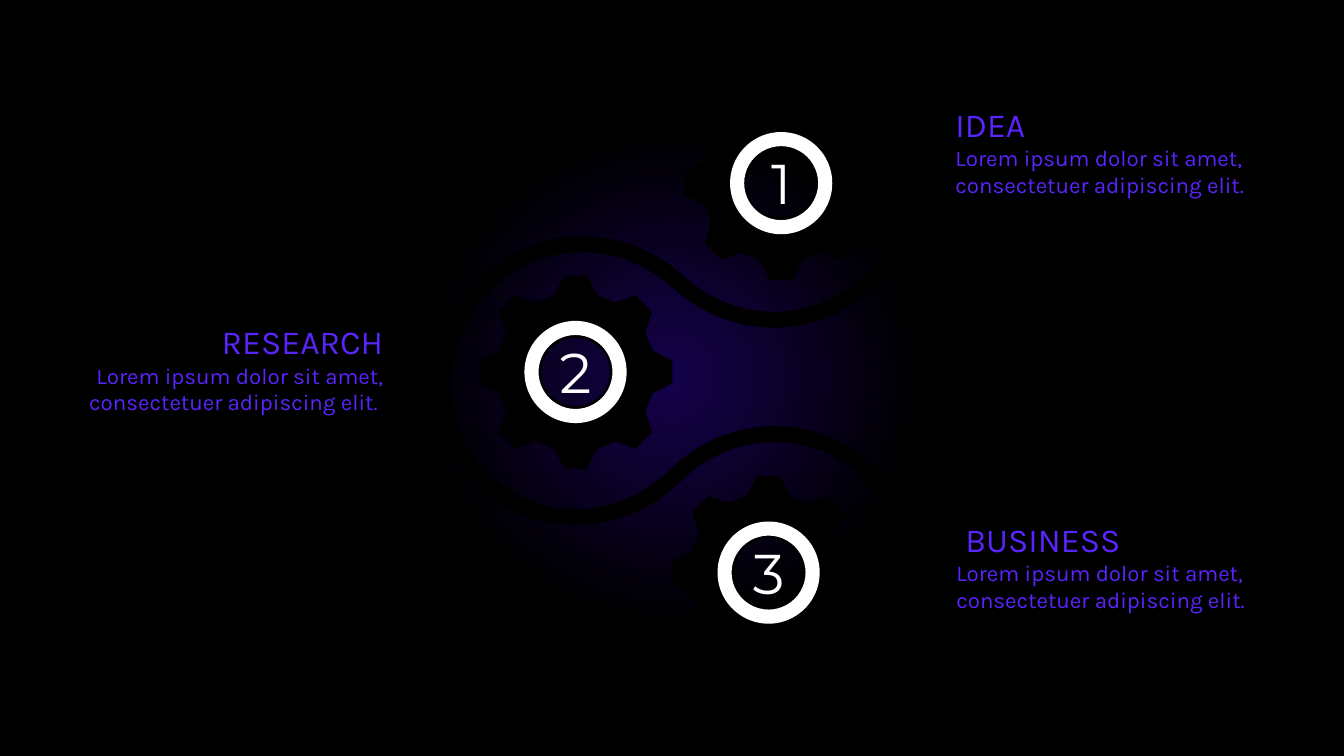
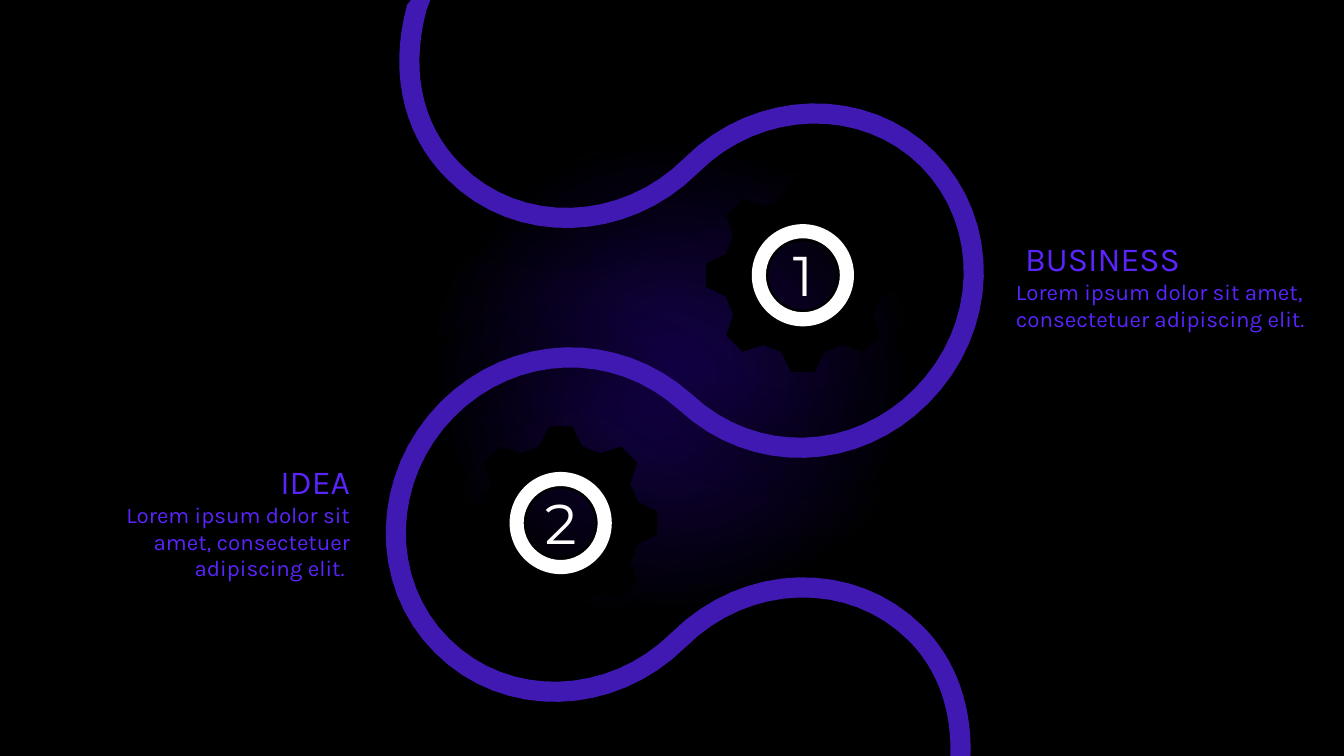
from dataclasses import dataclass
from math import cos, hypot, radians, sin

from pptx import Presentation
from pptx import util as u
from pptx.dml.color import RGBColor
from pptx.enum import shapes, text
from pptx.oxml import parse_xml
from pptx.oxml.ns import nsdecls, qn

Point = tuple[float, float]

COLORS = {
    "glow": "14014B",
    "black": "000000",
    "ribbon": "4019B3",
    "caption": "5A24FD",
    "white": "FFFFFF",
}
CAPTION_FONT = "Karla"
NUMBER_FONT = "Montserrat"
SLIDE_WIDTH, SLIDE_HEIGHT = 960, 540
BODY = "Lorem ipsum dolor sit amet, consectetuer adipiscing elit."
RING_SIZE = 73
CAPTION_HEIGHT = 97.2
TEETH = 8
TOOTH = [(-15.4, -55), (-8.2, -69.1), (8.2, -69.1), (15.4, -55)]
HOLE_RADIUS = 24.5
HOLE_STEPS = 48
CURVE_STEPS = 16


@dataclass(frozen=True)
class Step:
    number: str
    x: float
    y: float


@dataclass(frozen=True)
class Caption:
    heading: str
    left: float
    top: float
    width: float
    on_right: bool = True
    heading_indent: float = 0


@dataclass(frozen=True)
class Ribbon:
    color: str
    width: float
    start: Point
    curves: list[tuple[Point, Point, Point]]
    shadow: bool = False


@dataclass(frozen=True)
class Page:
    ribbon: Ribbon
    steps: list[Step]
    captions: list[Caption]


PAGES = [
    Page(
        Ribbon("black", 11.4, (320, -3), [
            ((322.6, 27), (331.6, 48.6), (347.8, 64.8)),
            ((385.6, 102.6), (447.5, 101.5), (486.4, 63)),
            ((525.2, 23.8), (587.2, 23), (625, 60.5)),
            ((662.4, 98.3), (661.7, 160.2), (622.8, 199.1)),
            ((585, 236.9), (525.6, 238.7), (484.6, 201.6)),
            ((443.2, 163.8), (383.8, 166), (346, 203.8)),
            ((307.4, 242.3), (306, 304.6), (344.2, 342)),
            ((381.6, 379.4), (443.2, 378.7), (482.4, 339.8)),
            ((520.9, 301), (583.2, 299.9), (620.6, 337.7)),
            ((658.1, 375.1), (657.4, 437.4), (618.5, 475.9)),
            ((582.5, 512.3), (518.4, 516.2), (480.2, 478.1)),
            ((439.2, 437.8), (381.6, 440.6), (341.6, 480.6)),
            ((326.9, 495), (317, 513), (312, 543)),
        ]),
        [Step("1", 558, 130.8), Step("2", 411.1, 265.7), Step("3", 549, 409)],
        [
            Caption("IDEA", 675.4, 70.6, 252),
            Caption("BUSINESS", 676, 367.2, 252, heading_indent=6.5),
            Caption("RESEARCH", 28.8, 226, 252, on_right=False),
        ],
    ),
    Page(
        Ribbon("ribbon", 14.4, (300.5, -4), [
            ((284, 46), (293, 91.8), (324.4, 122.8)),
            ((369.7, 168.5), (445.7, 166.3), (493.9, 118.1)),
            ((541.4, 70.6), (617.4, 68.4), (662.8, 113.8)),
            ((708.1, 159.5), (706.3, 234.7), (658.1, 283)),
            ((611.6, 329.8), (538.9, 333), (489.6, 287.3)),
            ((439.6, 242.3), (366.5, 245.5), (319.7, 292.3)),
            ((272.2, 340.2), (270, 415.8), (315.7, 461.2)),
            ((361.1, 506.9), (436.7, 504.7), (484.6, 457.2)),
            ((532.8, 409), (608.4, 406.8), (654.1, 452.5)),
            ((676.4, 474.8), (687.6, 506), (686, 543)),
        ], shadow=True),
        [Step("1", 573.5, 196.6), Step("2", 400.5, 373.6)],
        [
            Caption("IDEA", 45.4, 325.4, 211.7, on_right=False),
            Caption("BUSINESS", 718.6, 166.3, 241.2, heading_indent=6.5),
        ],
    ),
]


def rgb(name: str) -> RGBColor:
    return RGBColor.from_string(COLORS[name])


def paint(shape, color: str) -> None:
    shape.shadow.inherit = False
    shape.fill.solid()
    shape.fill.fore_color.rgb = rgb(color)
    shape.line.fill.background()


def set_glow(master) -> None:
    master.background.fill.solid()
    background = master.element.find(".//" + qn("p:bgPr"))
    background.replace(background[0], parse_xml(
        f'<a:gradFill {nsdecls("a")} rotWithShape="1"><a:gsLst>'
        f'<a:gs pos="0"><a:srgbClr val="{COLORS["glow"]}"/></a:gs>'
        f'<a:gs pos="32000"><a:srgbClr val="{COLORS["black"]}"/></a:gs>'
        '</a:gsLst><a:path path="circle">'
        '<a:fillToRect l="50000" t="50000" r="50000" b="50000"/>'
        '</a:path></a:gradFill>'))


def draw_outline(slide, contours: list[list[Point]], color: str):
    scaled = [[(u.Pt(x), u.Pt(y)) for x, y in contour] for contour in contours]
    builder = slide.shapes.build_freeform(*scaled[0][0], scale=1.0)
    builder.add_line_segments(scaled[0][1:], close=True)
    for contour in scaled[1:]:
        builder.move_to(*contour[0])
        builder.add_line_segments(contour[1:], close=True)
    outline = builder.convert_to_shape()
    paint(outline, color)
    return outline


def trace_centre(ribbon: Ribbon) -> list[Point]:
    centre = [ribbon.start]
    for first, second, end in ribbon.curves:
        knots = (centre[-1], first, second, end)
        for step in range(1, CURVE_STEPS + 1):
            t = step / CURVE_STEPS
            weights = ((1 - t) ** 3, 3 * t * (1 - t) ** 2, 3 * t * t * (1 - t), t ** 3)
            centre.append((sum(w * k[0] for w, k in zip(weights, knots)),
                           sum(w * k[1] for w, k in zip(weights, knots))))
    return centre


def draw_ribbon(slide, ribbon: Ribbon) -> None:
    centre = trace_centre(ribbon)
    half = ribbon.width / 2
    sides: tuple[list[Point], list[Point]] = ([], [])
    for i, (x, y) in enumerate(centre):
        before, after = centre[max(i - 1, 0)], centre[min(i + 1, len(centre) - 1)]
        dx, dy = after[0] - before[0], after[1] - before[1]
        length = hypot(dx, dy)
        for side, offset in zip(sides, (half, -half)):
            edge_y = y + offset * dx / length
            side.append((x - offset * dy / length, min(max(edge_y, 0), SLIDE_HEIGHT)))
    band = draw_outline(slide, [sides[0] + sides[1][::-1]], ribbon.color)
    if ribbon.shadow:
        effects = band.element.spPr.find(qn("a:effectLst"))
        effects.append(parse_xml(
            f'<a:outerShdw {nsdecls("a")} blurRad="{u.Pt(35)}" dist="0" dir="0" '
            f'algn="ctr" rotWithShape="0"><a:srgbClr val="{COLORS["black"]}">'
            '<a:alpha val="40000"/></a:srgbClr></a:outerShdw>'))


def draw_gear(slide, step: Step) -> None:
    rim = []
    for tooth in range(TEETH):
        angle = radians(360 / TEETH * tooth)
        rim += [(step.x + x * cos(angle) - y * sin(angle),
                 step.y + x * sin(angle) + y * cos(angle)) for x, y in TOOTH]
    turns = [radians(-360 / HOLE_STEPS * i) for i in range(HOLE_STEPS)]
    hole = [(step.x + HOLE_RADIUS * cos(a), step.y + HOLE_RADIUS * sin(a)) for a in turns]
    draw_outline(slide, [rim, hole], "black")


def add_text(slide, left: float, top: float, width: float, height: float):
    box = slide.shapes.add_textbox(u.Pt(left), u.Pt(top), u.Pt(width), u.Pt(height))
    box.text_frame.word_wrap = True
    box.text_frame.auto_size = text.MSO_AUTO_SIZE.SHAPE_TO_FIT_TEXT
    return box.text_frame


def write(paragraph, words: str, size: float, font: str, color: str, align) -> None:
    paragraph.text = words
    paragraph.alignment = align
    paragraph.font.size = u.Pt(size)
    paragraph.font.name = font
    paragraph.font.color.rgb = rgb(color)


def draw_number(slide, step: Step) -> None:
    ring = slide.shapes.add_shape(
        shapes.MSO_SHAPE.DONUT, u.Pt(step.x - RING_SIZE / 2), u.Pt(step.y - RING_SIZE / 2),
        u.Pt(RING_SIZE), u.Pt(RING_SIZE))
    ring.adjustments[0] = 0.138
    paint(ring, "white")
    width, height = 63.4, 56
    frame = add_text(slide, step.x - width / 2, step.y - height / 2, width, height)
    write(frame.paragraphs[0], step.number, 40, NUMBER_FONT, "white", text.PP_ALIGN.CENTER)


def draw_caption(slide, caption: Caption) -> None:
    frame = add_text(slide, caption.left, caption.top, caption.width, CAPTION_HEIGHT)
    align = text.PP_ALIGN.LEFT if caption.on_right else text.PP_ALIGN.RIGHT
    heading = frame.paragraphs[0]
    if caption.heading_indent:
        heading._p.get_or_add_pPr().set("marL", str(u.Pt(caption.heading_indent)))
    write(heading, caption.heading, 24, CAPTION_FONT, "caption", align)
    body = BODY if caption.on_right else BODY + " "
    write(frame.add_paragraph(), body, 16, CAPTION_FONT, "caption", align)


def main() -> None:
    deck = Presentation()
    deck.slide_width, deck.slide_height = u.Pt(SLIDE_WIDTH), u.Pt(SLIDE_HEIGHT)
    set_glow(deck.slide_master)
    for page in PAGES:
        slide = deck.slides.add_slide(deck.slide_layouts[6])
        draw_ribbon(slide, page.ribbon)
        for step in page.steps:
            draw_gear(slide, step)
            draw_number(slide, step)
        for caption in page.captions:
            draw_caption(slide, caption)
    deck.save("out.pptx")


if __name__ == "__main__":
    main()
